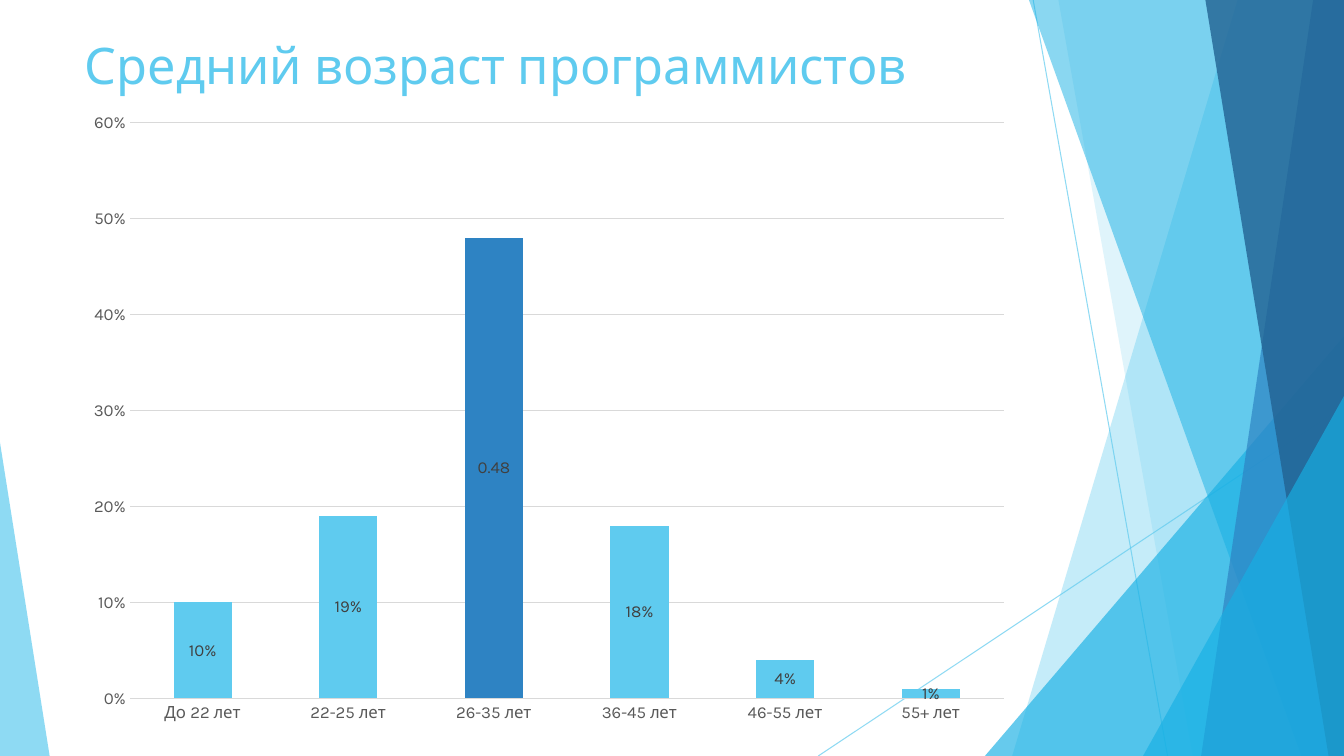
from lxml import etree
from pptx import Presentation
from pptx.chart.data import CategoryChartData
from pptx.dml.color import RGBColor
from pptx.enum.chart import XL_CHART_TYPE, XL_LABEL_POSITION, XL_TICK_MARK
from pptx.enum.shapes import MSO_CONNECTOR, MSO_SHAPE
from pptx.enum.text import MSO_ANCHOR, PP_ALIGN
from pptx.oxml.ns import qn
from pptx.util import Pt

STACKED = XL_CHART_TYPE.COLUMN_STACKED
CENTER = XL_LABEL_POSITION.CENTER
NO_TICK = XL_TICK_MARK.NONE
STRAIGHT = MSO_CONNECTOR.STRAIGHT
TRIANGLE = MSO_SHAPE.ISOSCELES_TRIANGLE
TOP = MSO_ANCHOR.TOP
LEFT = PP_ALIGN.LEFT

SKY = RGBColor(0x5F, 0xCB, 0xEF)
CYAN = RGBColor(0x17, 0xB0, 0xE4)
BLUE = RGBColor(0x2E, 0x83, 0xC3)
NAVY = RGBColor(0x22, 0x62, 0x92)
GRID = RGBColor(0xD9, 0xD9, 0xD9)
AXIS_TEXT = RGBColor(0x59, 0x59, 0x59)
LABEL_TEXT = RGBColor(0x40, 0x40, 0x40)

WIDTH, HEIGHT = 960, 540
AGES = ["До 22 лет", "22-25 лет", "26-35 лет", "36-45 лет", "46-55 лет", "55+ лет"]
SERIES = [
    ("Series 1", [0.1, 0.19, None, 0.18, 0.04, 0.01], SKY, "0%"),
    ("Series 2", [None, None, 0.48, None, None, None], BLUE, "General"),
]


class SlideBuilder:
    font_name = "Karla"

    def __init__(self, presentation):
        self.slide = presentation.slides.add_slide(presentation.slide_layouts[5])
        self.shapes = self.slide.shapes

    def style_font(self, font, size, color):
        font.name = self.font_name
        font.size = Pt(size)
        font.color.rgb = color

    def set_opacity(self, fill_format, percent):
        color = fill_format._xPr.find(".//" + qn("a:srgbClr"))
        etree.SubElement(color, qn("a:alpha")).set("val", str(percent * 1000))

    def paint(self, shape, color, opacity):
        shape.shadow.inherit = False
        shape.fill.solid()
        shape.fill.fore_color.rgb = color
        self.set_opacity(shape.fill, opacity)
        shape.line.fill.background()

    def title(self, text, left, top, width, height):
        title = self.shapes.title
        title.left, title.top = Pt(left), Pt(top)
        title.width, title.height = Pt(width), Pt(height)
        frame = title.text_frame
        frame.text = text
        frame.word_wrap = True
        frame.vertical_anchor = TOP
        paragraph = frame.paragraphs[0]
        paragraph.alignment = LEFT
        self.style_font(paragraph.font, 36, SKY)

    def line(self, start, end):
        points = [Pt(value) for value in (*start, *end)]
        connector = self.shapes.add_connector(STRAIGHT, *points)
        connector.line.width = Pt(0.75)
        connector.line.color.rgb = SKY
        self.set_opacity(connector.line.fill, 70)
        etree.SubElement(connector._element.spPr, qn("a:effectLst"))

    def facet(self, top_x, bottom_x, color, opacity):
        builder = self.shapes.build_freeform(Pt(top_x), 0)
        corners = [(WIDTH, 0), (WIDTH, HEIGHT), (bottom_x, HEIGHT)]
        builder.add_line_segments([(Pt(x), Pt(y)) for x, y in corners], close=True)
        self.paint(builder.convert_to_shape(), color, opacity)

    def corner(self, left, top, width, apex, color, opacity):
        shape = self.shapes.add_shape(
            TRIANGLE, Pt(left), Pt(top), Pt(width), Pt(HEIGHT - top))
        shape.adjustments[0] = apex
        self.paint(shape, color, opacity)

    def column_chart(self, categories, series_rows, left, top, width, height):
        data = CategoryChartData(number_format="0%")
        data.categories = categories
        for name, values, _, number_format in series_rows:
            data.add_series(name, values, number_format)
        chart = self.shapes.add_chart(
            STACKED, Pt(left), Pt(top), Pt(width), Pt(height), data).chart
        chart.has_legend = False
        chart.has_title = False
        self.style_font(chart.font, 12, AXIS_TEXT)

        category_axis, value_axis = chart.category_axis, chart.value_axis
        for axis in (category_axis, value_axis):
            axis.major_tick_mark = NO_TICK
            axis.minor_tick_mark = NO_TICK
            self.style_font(axis.tick_labels.font, 12, AXIS_TEXT)
        value_axis.minimum_scale = 0
        value_axis.maximum_scale = 0.6
        value_axis.major_unit = 0.1
        value_axis.tick_labels.number_format = "0%"
        value_axis.tick_labels.number_format_is_linked = False
        value_axis.format.line.fill.background()
        for line in (category_axis.format.line, value_axis.major_gridlines.format.line):
            line.color.rgb = GRID
            line.width = Pt(0.75)

        plot = chart.plots[0]
        plot.gap_width = 150
        plot.overlap = 100
        plot.vary_by_categories = False
        for series, (_, _, color, number_format) in zip(plot.series, series_rows):
            series.invert_if_negative = False
            series.format.fill.solid()
            series.format.fill.fore_color.rgb = color
            labels = series.data_labels
            labels.show_value = True
            labels.position = CENTER
            labels.number_format = number_format
            labels.number_format_is_linked = False
            self.style_font(labels.font, 12, LABEL_TEXT)


def main():
    presentation = Presentation()
    presentation.slide_width, presentation.slide_height = Pt(WIDTH), Pt(HEIGHT)
    builder = SlideBuilder(presentation)

    builder.line((738, 0), (834, HEIGHT))
    builder.line((WIDTH, 290), (584.5, HEIGHT))
    builder.facet(884, 723, SKY, 36)
    builder.facet(756, 852, SKY, 20)
    builder.corner(703.5, 240, 256.5, 1, CYAN, 66)
    builder.facet(735, 929.5, CYAN, 50)
    builder.facet(938, 858, BLUE, 70)
    builder.facet(861, 949, NAVY, 80)
    builder.corner(816.5, 283, 143.5, 1, CYAN, 66)
    builder.corner(0, 316, 35.5, 0, SKY, 70)

    builder.title("Средний возраст программистов", 53.5, 21, 677, 104)
    builder.column_chart(AGES, SERIES, 53.5, 71.5, 677, 453.5)
    presentation.save("out.pptx")


if __name__ == "__main__":
    main()
